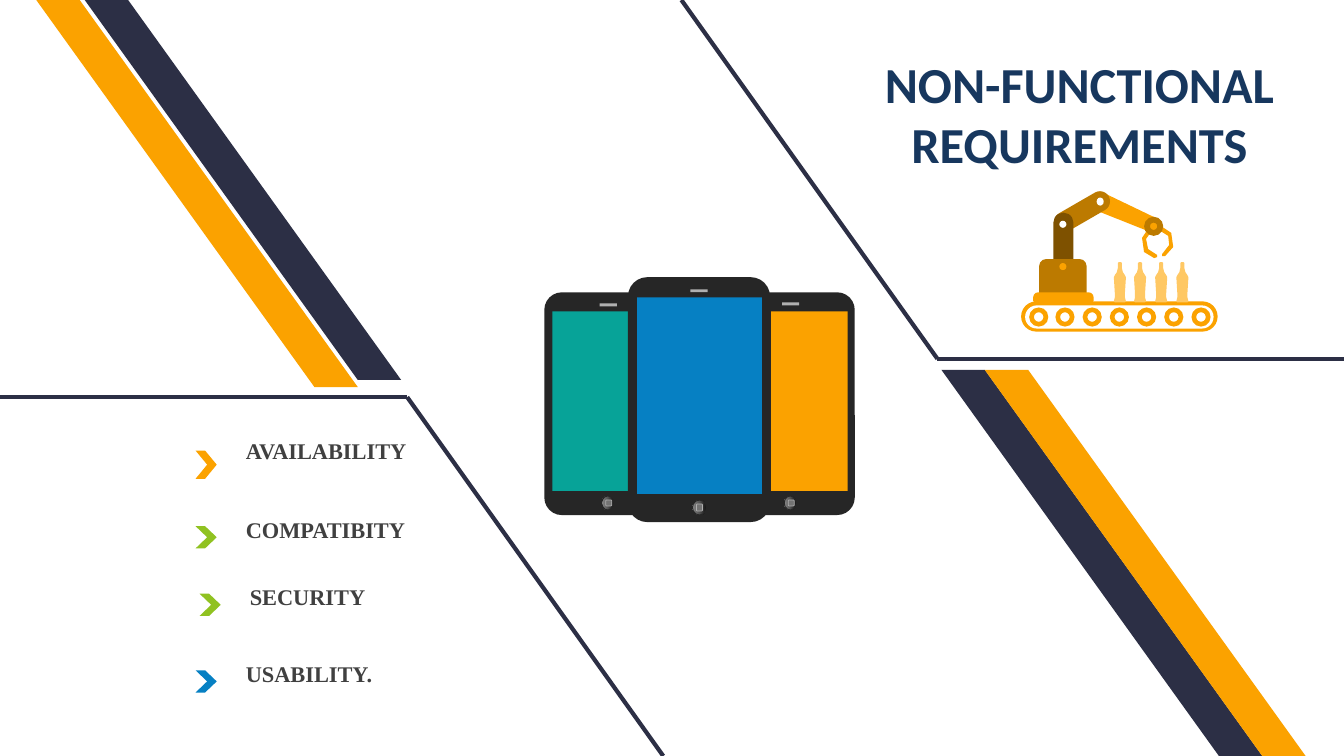
from copy import deepcopy
from pptx import Presentation
from pptx.dml.color import RGBColor
from pptx.enum.shapes import MSO_CONNECTOR, MSO_SHAPE
from pptx.enum.text import MSO_ANCHOR, MSO_AUTO_SIZE, PP_ALIGN
from pptx.oxml.ns import qn
from pptx.util import Pt

BAND, TRAP = MSO_SHAPE.PARALLELOGRAM, MSO_SHAPE.TRAPEZOID
RECT, ROUND = MSO_SHAPE.RECTANGLE, MSO_SHAPE.ROUNDED_RECTANGLE
ARCH, RING = MSO_SHAPE.ROUND_2_SAME_RECTANGLE, MSO_SHAPE.DONUT
OVAL, ARROW = MSO_SHAPE.OVAL, MSO_SHAPE.CHEVRON
LINE, NOFIT = MSO_CONNECTOR.STRAIGHT, MSO_AUTO_SIZE.NONE
TOP, MIDDLE = MSO_ANCHOR.TOP, MSO_ANCHOR.MIDDLE
LEFT, CENTER = PP_ALIGN.LEFT, PP_ALIGN.CENTER

SCALE = 9144
NAVY, GOLD, OCHRE, BROWN = "2C2F45", "FBA200", "BC7A00", "7E5100"
BLUE, GREEN, TEAL, WHITE = "0680C3", "90C221", "07A398", "FFFFFF"
CASE, GREY, ICON, CREAM = "262626", "B0B0B0", "737373", "FFC864"

TITLE = "NON-FUNCTIONAL REQUIREMENTS"
ITEMS = [
    ("AVAILABILITY", 234, 429, 447, 28, GOLD),
    ("COMPATIBITY", 234, 507, 522, 22, GREEN),
    ("SECURITY", 238, 574, 589, 22, GREEN),
    ("USABILITY.", 234, 650, 665, 22, BLUE),
]
BANDS = [(934, 367, NAVY), (977, 367, GOLD), (36, 0, GOLD), (79, -7, NAVY)]
RULES = [
    (676, 0, 930, 356), (1333, 356, 930, 356),
    (658, 750, 404, 394), (0, 394, 404, 394),
]
ARM = [
    (TRAP, (1110, 181, 19, 63), GOLD, [0.115], 113.7),
    (ROUND, (1043, 200, 61, 20), OCHRE, [0.5], 330),
    (OVAL, (1088, 196, 7, 8), WHITE, [], 0),
    (ARCH, (1045, 211, 20, 60), BROWN, [0.5, 0], 0),
    (OVAL, (1051, 219, 7, 7), WHITE, [], 0),
]
CLAWS = [
    [(1153, 225), (1162, 231), (1164, 245), (1156, 254), (1153, 254),
     (1153, 252), (1160, 243), (1159, 234), (1151, 229)],
    [(1139, 227), (1133, 236), (1135, 250), (1145, 256), (1148, 255),
     (1148, 253), (1139, 247), (1137, 237), (1142, 230)],
]
BASE = [
    (RING, (1135, 215, 19, 19), OCHRE, [0.31], 0),
    (ARCH, (1031, 257, 47, 38), OCHRE, [0.18, 0.08], 0),
    (ARCH, (1025, 290, 60, 10), GOLD, [0.5, 0.2], 0),
    (OVAL, (1051, 261, 7, 7), GOLD, [], 0),
    (ROUND, (1013, 299, 195, 30), GOLD, [0.5], 0),
    (ROUND, (1017, 303, 187, 23), WHITE, [0.5], 0),
]
BOTTLE = [(1, 260), (2, 261), (2, 266), (3, 270), (5, 273), (6, 275),
          (5, 291), (5, 295), (6, 299), (5, 300)]
PHONES = [
    ((720, 290, 128, 221), (776, 300), (778, 492, 12, 14),
     (765, 309, 76, 178), GOLD),
    ((540, 290, 128, 221), (595, 301), (597, 492, 12, 14),
     (548, 309, 76, 178), TEAL),
    ((623, 275, 141, 243), (685, 287), (687, 496, 14, 15),
     (632, 295, 124, 195), BLUE),
]
STOPS = [(0, "0F0F0F"), (0.56, "595959"), (0.91, "808080"), (1, "BFBFBF")]


def px(num):
    return round(num * SCALE)


def color(code):
    return RGBColor.from_string(code)


def paint(shape, fill, line=None, width=0):
    shape.shadow.inherit = False
    shape.fill.solid()
    shape.fill.fore_color.rgb = color(fill)
    if line:
        shape.line.color.rgb = color(line)
        shape.line.width = Pt(width)
    else:
        shape.line.fill.background()


def put(kind, box, fill, adj=(), turn=0, **edge):
    shape = slide.shapes.add_shape(kind, *map(px, box))
    paint(shape, fill, **edge)
    for i, val in enumerate(adj):
        shape.adjustments[i] = val
    shape.rotation = turn
    return shape


def trace(dots, fill):
    pen = slide.shapes.build_freeform(*dots[0], scale=SCALE)
    pen.add_line_segments(dots[1:])
    paint(pen.convert_to_shape(), fill)


def rule(ends):
    line = slide.shapes.add_connector(LINE, *map(px, ends))
    line.line.color.rgb = color(NAVY)
    line.line.width = Pt(3)
    props = line._element.spPr
    props.append(props.makeelement(qn("a:effectLst"), {}))


def write(shape, text, size, font, ink, align=LEFT, anchor=TOP):
    frame = shape.text_frame
    frame.word_wrap = True
    frame.auto_size = NOFIT
    frame.vertical_anchor = anchor
    para = frame.paragraphs[0]
    para.alignment = align
    run = para.add_run()
    run.text = text
    run.font.size = Pt(size)
    run.font.name = font
    run.font.bold = True
    run.font.color.rgb = color(ink)


def shade(shape):
    shape.fill.gradient()
    stops = shape._element.spPr.find(qn("a:gradFill")).find(qn("a:gsLst"))
    for stop in list(stops):
        stops.append(deepcopy(stop))
    for stop, (place, tone) in zip(shape.fill.gradient_stops, STOPS):
        stop.position = place
        stop.color.rgb = color(tone)
    shape.fill.gradient_angle = 180


def phone(body, slot, key, screen, tone):
    put(ROUND, body, CASE, [0.136])
    put(RECT, (*slot, 17, 3), GREY)
    shade(put(OVAL, key, CASE, line=CASE))
    x, y, w, h = key
    put(ROUND, (x + 4, y + 4, 6, h - 8), ICON, line=GREY, width=0.5)
    put(RECT, screen, tone)


deck = Presentation()
deck.slide_width, deck.slide_height = 12192000, px(750)
slide = deck.slides.add_slide(deck.slide_layouts[5])

head = slide.shapes.title
head.left, head.top, head.width, head.height = map(px, (809, 47, 524, 131))
write(head, TITLE, 36, "Calibri", "17375E", align=CENTER, anchor=MIDDLE)

for x, y, tone in BANDS:
    band = put(BAND, (x, y, 319, 384), tone, [0.865])
    band._element.spPr.xfrm.set("flipH", "1")
for ends in RULES:
    rule(ends)

for part in ARM:
    put(*part)
for claw in CLAWS:
    trace([(px(x) / SCALE, px(y) / SCALE) for x, y in claw], GOLD)
for part in BASE:
    put(*part)
for i in range(7):
    put(RING, (1021 + i * 161 // 6, 305, 19, 19), GOLD)
for i in range(4):
    mid = 1111 + i * 62 // 3
    right = [(mid + x, y) for x, y in BOTTLE]
    left = [(mid - x, y) for x, y in reversed(BOTTLE)]
    trace(right + left, CREAM)

for parts in PHONES:
    phone(*parts)

for text, x, y, tip, high, tone in ITEMS:
    label = slide.shapes.add_textbox(*map(px, (x, y, 222, 37)))
    write(label, text, 16, "Times New Roman", "404040")
    put(ARROW, (x - 40, tip, 21, high), tone, [0.549])

deck.save("out.pptx")
